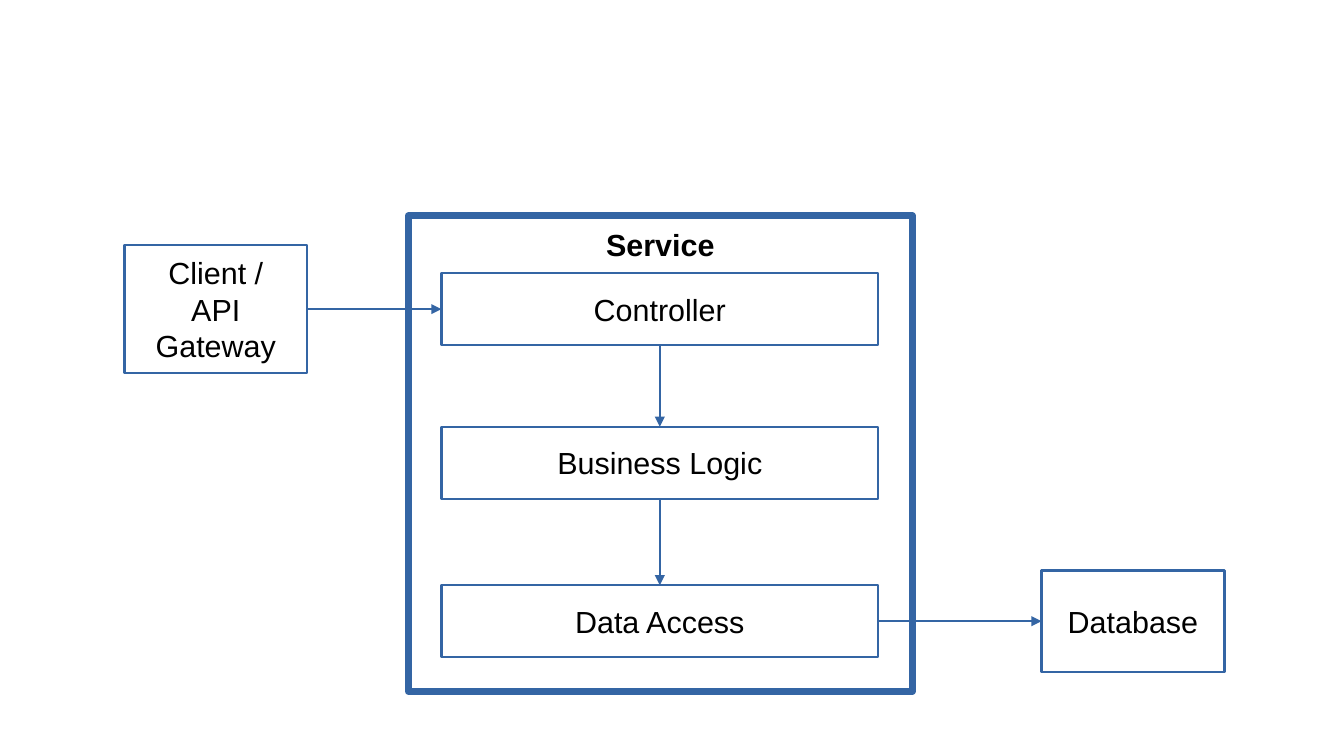
import pptx
import pptx.dml.color
import pptx.enum.shapes
import pptx.enum.text
import pptx.oxml.ns
import pptx.util
from lxml import etree

Inches = pptx.util.Inches
Pt = pptx.util.Pt

BLUE = pptx.dml.color.RGBColor(0x34, 0x65, 0xA4)
WHITE = pptx.dml.color.RGBColor(0xFF, 0xFF, 0xFF)
BLACK = pptx.dml.color.RGBColor(0x00, 0x00, 0x00)

FONT = "Arial"
THIN, THICK = 1.42, 4.25
TOP, LEFT, BOTTOM, RIGHT = range(4)  # connection sites of a process box

OUTER_WIDTH = 1.5
CLIENT_HEIGHT, DATABASE_HEIGHT = 1.05, 0.83  # the client label has three lines
LAYER_LEFT, LAYER_WIDTH, LAYER_HEIGHT = 3.62, 3.58, 0.59
LAYERS = [("Controller", 2.24), ("Business Logic", 3.5), ("Data Access", 4.8)]


def add_xml(parent, tag, **attributes):
    return etree.SubElement(parent, pptx.oxml.ns.qn(tag), attributes)


def add_box(slide, lines, left, top, width, height, line_width=THIN,
            anchor=pptx.enum.text.MSO_ANCHOR.MIDDLE, margins=(0.11, 0.06), bold=False):
    box = slide.shapes.add_shape(
        pptx.enum.shapes.MSO_SHAPE.FLOWCHART_PROCESS,
        Inches(left), Inches(top), Inches(width), Inches(height))
    box.shadow.inherit = False
    box.fill.solid()
    box.fill.fore_color.rgb = WHITE
    box.line.color.rgb = BLUE
    box.line.width = Pt(line_width)
    add_xml(box.line._get_or_add_ln(), "a:round")

    frame = box.text_frame
    frame.word_wrap = False
    frame.vertical_anchor = anchor
    frame.margin_left = frame.margin_right = Inches(margins[0])
    frame.margin_top = frame.margin_bottom = Inches(margins[1])
    frame.text = "\n".join(lines)
    for paragraph in frame.paragraphs:
        paragraph.alignment = pptx.enum.text.PP_ALIGN.CENTER
        paragraph.font.name = FONT
        paragraph.font.size = Pt(18)
        paragraph.font.bold = bold
        paragraph.font.color.rgb = BLACK
    return box


def add_outer_box(slide, lines, left, layer_top, height):
    """Add a box outside the service, level with the middle of a layer."""
    top = layer_top + (LAYER_HEIGHT - height) / 2
    return add_box(slide, lines, left, top, OUTER_WIDTH, height)


def add_arrow(slide, source, source_site, target, target_site):
    arrow = slide.shapes.add_connector(
        pptx.enum.shapes.MSO_CONNECTOR.ELBOW, 0, 0, 0, 0)
    arrow.begin_connect(source, source_site)
    arrow.end_connect(target, target_site)
    arrow.line.color.rgb = BLUE
    arrow.line.width = Pt(THIN)
    add_xml(arrow.line._get_or_add_ln(), "a:tailEnd", type="triangle")
    add_xml(arrow._element.spPr, "a:effectLst")


def main():
    presentation = pptx.Presentation()
    presentation.slide_width = Inches(11.02)
    presentation.slide_height = Inches(6.2)
    slide = presentation.slides.add_slide(presentation.slide_layouts[6])

    # Service frame with its layers
    add_box(slide, ["Service"], 3.35, 1.77, 4.13, 3.9, line_width=THICK,
            anchor=pptx.enum.text.MSO_ANCHOR.TOP, margins=(0.13, 0.08), bold=True)
    controller, logic, data_access = [
        add_box(slide, [name], LAYER_LEFT, top, LAYER_WIDTH, LAYER_HEIGHT)
        for name, top in LAYERS]

    # Neighbours of the service
    client = add_outer_box(slide, ["Client /", "API", "Gateway"],
                           1.02, LAYERS[0][1], CLIENT_HEIGHT)
    database = add_outer_box(slide, ["Database"],
                             8.54, LAYERS[-1][1], DATABASE_HEIGHT)

    # Request flow
    add_arrow(slide, client, RIGHT, controller, LEFT)
    add_arrow(slide, controller, BOTTOM, logic, TOP)
    add_arrow(slide, logic, BOTTOM, data_access, TOP)
    add_arrow(slide, data_access, RIGHT, database, LEFT)

    presentation.save("out.pptx")


main()
